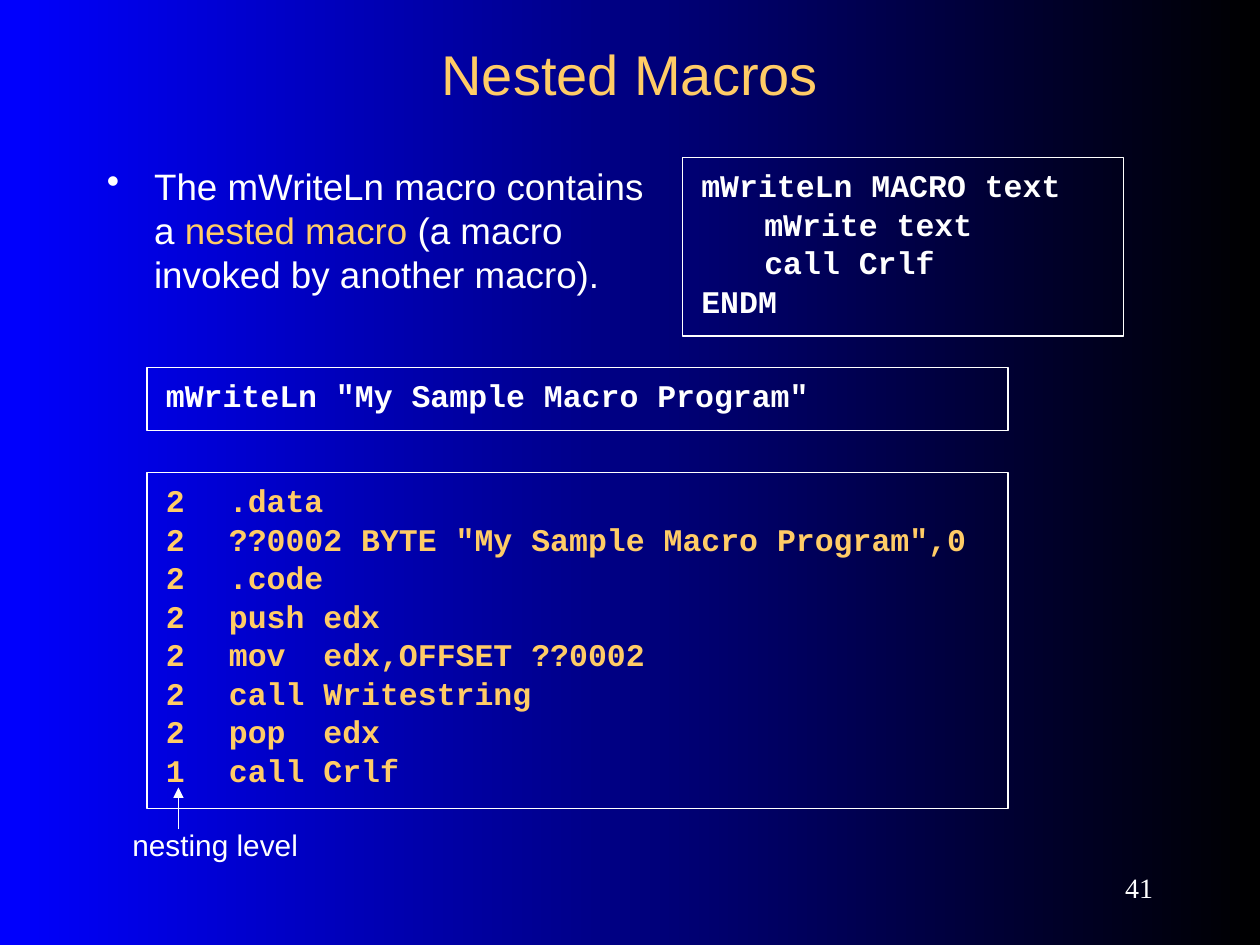
"""Build the Nested Macros slide."""
from dataclasses import dataclass

from lxml.etree import SubElement
from pptx import Presentation
from pptx.dml.color import RGBColor
from pptx.enum.shapes import MSO_CONNECTOR, MSO_SHAPE
from pptx.enum.text import MSO_ANCHOR, PP_ALIGN
from pptx.oxml.ns import qn
from pptx.util import Pt

WHITE = RGBColor(0xFF, 0xFF, 0xFF)
GOLD = RGBColor(0xFF, 0xCC, 0x66)
BLACK = RGBColor(0, 0, 0)
BLUE = RGBColor(0, 0, 0xFF)


@dataclass
class Box:
    left: float
    top: float
    width: float
    height: float


@dataclass
class Label:
    box: Box
    phrases: list[tuple[str, RGBColor]]
    size: float
    align: PP_ALIGN = PP_ALIGN.LEFT
    anchor: MSO_ANCHOR = MSO_ANCHOR.TOP
    inset: float = 3.6
    font: str = "Arial"
    bullet: bool = False


@dataclass
class CodeBox:
    box: Box
    lines: list[str]
    color: RGBColor


LABELS = [
    Label(Box(54, 18, 612, 48), [("Nested Macros", GOLD)], 32, PP_ALIGN.CENTER, MSO_ANCHOR.MIDDLE),
    Label(Box(54, 90, 330, 102), [
        ("The mWriteLn macro contains a ", WHITE),
        ("nested macro", GOLD),
        (" (a macro invoked by another macro).", WHITE),
    ], 21, bullet=True),
    Label(Box(18, 462, 210, 42), [("nesting level", WHITE)], 17, PP_ALIGN.CENTER, inset=10.8),
    Label(Box(588, 492, 78, 30), [("41", WHITE)], 16, PP_ALIGN.RIGHT, MSO_ANCHOR.MIDDLE,
          font="Times New Roman"),
]
CODE_BOXES = [
    CodeBox(Box(390, 90, 252, 102),
            ["mWriteLn MACRO text", "\tmWrite text", "\tcall Crlf", "ENDM"], WHITE),
    CodeBox(Box(84, 210, 492, 36), ['mWriteLn "My Sample Macro Program"'], WHITE),
    CodeBox(Box(84, 270, 492, 192), [
        "2\t.data",
        '2\t??0002 BYTE "My Sample Macro Program",0',
        "2\t.code",
        "2\tpush edx",
        "2\tmov  edx,OFFSET ??0002",
        "2\tcall Writestring",
        "2\tpop  edx",
        "1\tcall Crlf",
    ], GOLD),
]


def place(box: Box) -> tuple[Pt, Pt, Pt, Pt]:
    """Return the box as slide lengths."""
    return Pt(box.left), Pt(box.top), Pt(box.width), Pt(box.height)


def set_frame(tf, x: float, y: float, anchor: MSO_ANCHOR) -> None:
    """Set wrapping, insets and anchor of a text frame."""
    tf.word_wrap = True
    tf.margin_left = tf.margin_right = Pt(x)
    tf.margin_top = tf.margin_bottom = Pt(y)
    tf.vertical_anchor = anchor


def add_bullet(p, indent: float) -> None:
    """Give a paragraph a white hanging bullet."""
    pPr = p._p.get_or_add_pPr()
    pPr.set("marL", str(Pt(indent)))
    pPr.set("indent", str(-Pt(indent)))
    color = SubElement(pPr, qn("a:buClr"))
    SubElement(color, qn("a:srgbClr"), val=str(WHITE))
    SubElement(pPr, qn("a:buChar"), char="•")


def add_label(s, label: Label) -> None:
    """Add a text box with one paragraph of coloured runs."""
    tf = s.shapes.add_textbox(*place(label.box)).text_frame
    set_frame(tf, 7.2, label.inset, label.anchor)
    p = tf.paragraphs[0]
    p.alignment = label.align
    if label.bullet:
        add_bullet(p, 27)
    for text, color in label.phrases:
        r = p.add_run()
        r.text = text
        r.font.name = label.font
        r.font.size = Pt(label.size)
        r.font.color.rgb = color


def add_code(s, code: CodeBox) -> None:
    """Add an outlined box of code lines with one tab stop."""
    sp = s.shapes.add_shape(MSO_SHAPE.RECTANGLE, *place(code.box))
    sp.shadow.inherit = False
    sp.fill.background()
    sp.line.color.rgb = WHITE
    sp.line.width = Pt(0.75)
    tf = sp.text_frame
    set_frame(tf, 10.8, 14.4, MSO_ANCHOR.TOP)
    tf.text = "\n".join(code.lines)
    for i, p in enumerate(tf.paragraphs):
        tabs = SubElement(p._p.get_or_add_pPr(), qn("a:tabLst"))
        SubElement(tabs, qn("a:tab"), pos=str(Pt(36)), algn="l")
        p.alignment = PP_ALIGN.LEFT
        p.line_spacing = 0.5
        p.space_before = Pt(11.2 if i else 0)
        for r in p.runs:
            r.font.name = "Courier New"
            r.font.size = Pt(18)
            r.font.bold = True
            r.font.color.rgb = code.color


def add_arrow(s, x: float, start: float, end: float) -> None:
    """Add a vertical arrow with its head at the end."""
    sp = s.shapes.add_connector(MSO_CONNECTOR.STRAIGHT, Pt(x), Pt(start), Pt(x), Pt(end))
    sp.line.color.rgb = WHITE
    sp.line.width = Pt(0.75)
    spPr = sp._element.spPr
    SubElement(spPr.find(qn("a:ln")), qn("a:tailEnd"), type="triangle")
    SubElement(spPr, qn("a:effectLst"))


def set_background(s) -> None:
    """Fill the slide with a blue to black gradient."""
    fill = s.background.fill
    fill.gradient()
    fill.gradient_angle = 180
    for stop, color in zip(fill.gradient_stops, (BLACK, BLUE)):
        stop.color.rgb = color


def main() -> None:
    """Build and save the slide."""
    prs = Presentation()
    prs.slide_width, prs.slide_height = Pt(720), Pt(540)
    s = prs.slides.add_slide(prs.slide_layouts[6])
    set_background(s)
    for code in CODE_BOXES:
        add_code(s, code)
    for label in LABELS:
        add_label(s, label)
    add_arrow(s, 102, 474, 450)
    prs.save("out.pptx")


if __name__ == "__main__":
    main()
